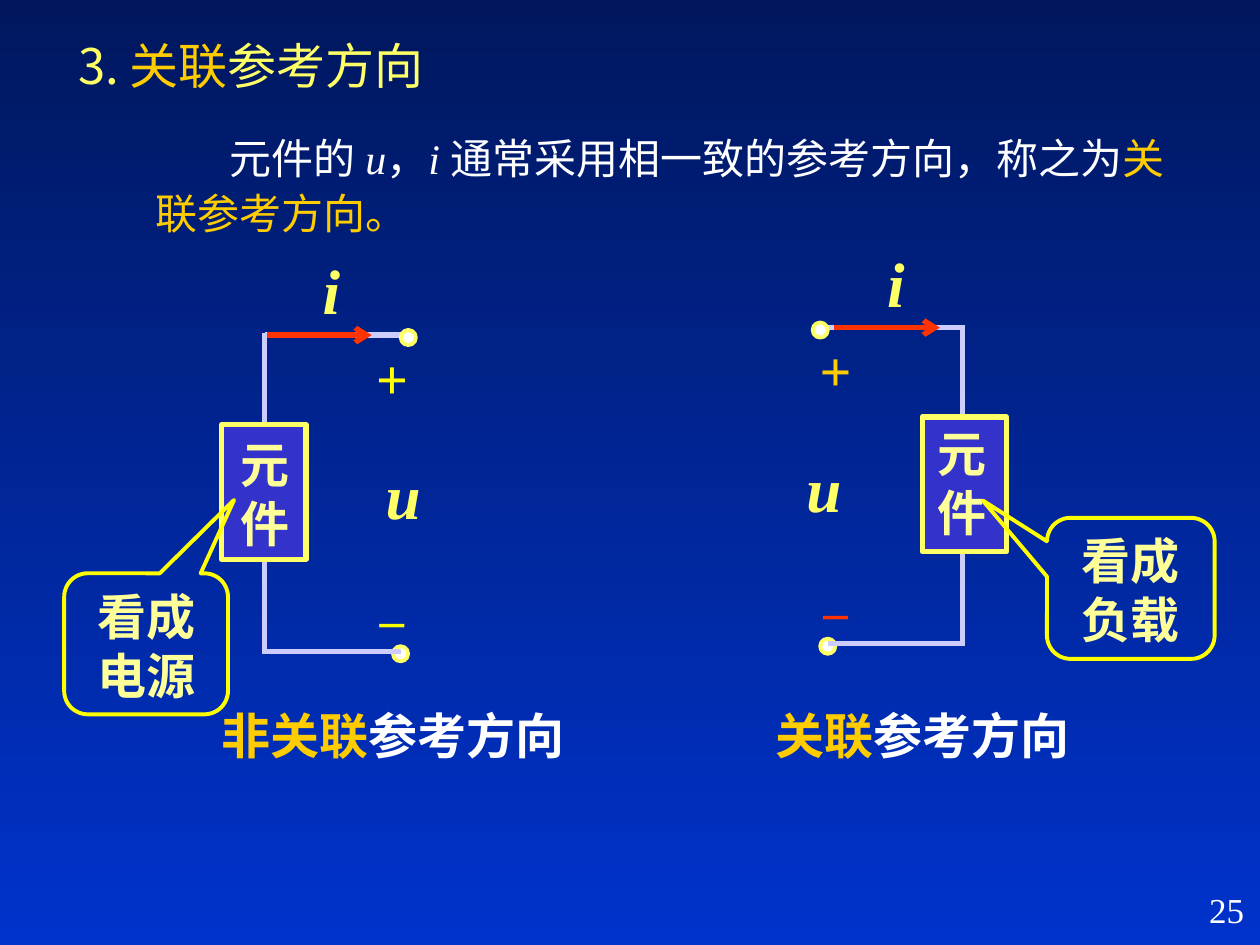
from dataclasses import dataclass

from lxml.etree import SubElement
from pptx import Presentation
from pptx.dml.color import RGBColor
from pptx.enum.shapes import MSO_CONNECTOR, MSO_SHAPE as Shape
from pptx.enum.text import MSO_ANCHOR as Anchor, MSO_AUTO_SIZE, PP_ALIGN as Align
from pptx.oxml.ns import qn
from pptx.util import Pt

LATIN, CJK = "Times New Roman", "Noto Sans CJK SC"
WHITE, GOLD, LEMON, CREAM = "FFFFFF", "FFCC00", "FFFF66", "FFFF99"
YELLOW, RED, WIRE, BLUE = "FFFF00", "FF3300", "CCCCFF", "3333CC"


@dataclass(frozen=True)
class Span:
    text: str
    color: str
    italic: bool = False


@dataclass(frozen=True)
class Circuit:
    """One element with its wires; vertical places follow from top."""
    top: float
    wire_x: float
    wire_end: float
    box_x: float
    name_x: float
    name_drop: float
    top_node: float
    bottom_node: float
    arrow: tuple[float, float]
    current_x: float
    voltage_x: float
    sign_x: float
    plus_color: str
    minus_color: str
    caption_x: float
    caption: tuple[Span, ...]


CIRCUITS = (
    Circuit(187.2, 550.1, 473, 527, 528.5, 51.1, 468.7, 473, (476.6, 537.1),
            511.9, 470.9, 477.5, GOLD, RED, 527.1,
            (Span("关联", GOLD), Span("参考方向", WHITE))),
    Circuit(191.5, 151.2, 229, 126.7, 130.3, 53.3, 233.3, 228.9, (152.6, 212.4),
            189.4, 230.4, 224, YELLOW, YELLOW, 224.7,
            (Span("非关联", GOLD), Span("参考方向", WHITE))),
)


def rgb(color: str) -> RGBColor:
    return RGBColor.from_string(color)


def place(shape, left: float, top: float, width: float, height: float) -> None:
    shape.left, shape.top, shape.width, shape.height = map(
        Pt, (left, top, width, height))


def write(shape, spans: tuple[Span, ...], size: float, bold: bool = False,
          align=Align.CENTER, anchor=Anchor.MIDDLE, latin: str = LATIN):
    """Fill the shape with one paragraph of formatted spans."""
    frame = shape.text_frame
    frame.word_wrap = True
    frame.auto_size = MSO_AUTO_SIZE.NONE
    frame.vertical_anchor = anchor
    para = frame.paragraphs[0]
    para.alignment = align
    para.space_before = Pt(0)
    for span in spans:
        run = para.add_run()
        run.text = span.text
        font = run.font
        font.name, font.size, font.bold = latin, Pt(size), bold
        font.italic = span.italic
        font.color.rgb = rgb(span.color)
        if ord(span.text[0]) > 0x2E80:
            SubElement(font._element, qn("a:ea"), typeface=CJK)
    return para


def add_text(page, bounds: tuple[float, ...], spans: tuple[Span, ...],
             size: float, **style) -> None:
    box = page.shapes.add_textbox(*map(Pt, bounds))
    write(box, spans, size, **style)


def add_label(page, center: float, top: float, width: float, height: float,
              spans: tuple[Span, ...], size: float) -> None:
    """Bold text centred on a given x."""
    add_text(page, (center - width / 2, top, width, height), spans, size, bold=True)


def add_shape(page, kind, bounds: tuple[float, ...], line: str,
              fill: str | None = None, weight: float = 2.25):
    shape = page.shapes.add_shape(kind, *map(Pt, bounds))
    shape.shadow.inherit = False
    if fill:
        shape.fill.solid()
        shape.fill.fore_color.rgb = rgb(fill)
    else:
        shape.fill.background()
    shape.line.color.rgb = rgb(line)
    shape.line.width = Pt(weight)
    return shape


def add_wire(page, x1: float, y1: float, x2: float, y2: float,
             color: str = WIRE, arrow: bool = False) -> None:
    wire = page.shapes.add_connector(
        MSO_CONNECTOR.STRAIGHT, *map(Pt, (x1, y1, x2, y2)))
    wire.line.color.rgb = rgb(color)
    wire.line.width = Pt(3)
    if arrow:
        SubElement(wire.line._get_or_add_ln(), qn("a:tailEnd"), type="arrow")
    SubElement(wire._element.spPr, qn("a:effectLst"))


def add_circuit(page, c: Circuit) -> None:
    bottom = c.top + 180.7
    add_wire(page, c.wire_x, c.top - 1.2, c.wire_x, bottom + 1.5)
    add_shape(page, Shape.RECTANGLE, (c.box_x, c.top + 51.1, 48.2, 77), LEMON, BLUE, 3)
    add_wire(page, c.wire_x, c.top, c.wire_end, c.top)
    for x, y in ((c.bottom_node, bottom), (c.top_node, c.top)):
        add_shape(page, Shape.OVAL, (x - 4.3, y - 2.9, 8.6, 8.6), LEMON, WHITE)
    start, end = c.arrow
    add_wire(page, start, c.top, end, c.top, RED, arrow=True)
    add_wire(page, c.wire_x, bottom, c.wire_end, bottom)

    add_label(page, c.sign_x, c.top + 1, 48, 46, (Span("+", c.plus_color),), 32)
    add_label(page, c.sign_x, c.top + 141.1, 66, 41, (Span("–", c.minus_color),), 28)
    add_label(page, c.current_x, c.top - 51.1, 72, 50.4, (Span("i", LEMON, True),), 36)
    add_label(page, c.voltage_x, c.top + 66, 72, 50.4, (Span("u", LEMON, True),), 36)
    add_label(page, c.caption_x, 399.2, 236, 41, c.caption, 28)
    add_text(page, (c.name_x, c.top + c.name_drop, 46.8, 75), (Span("元件", CREAM),),
             28, bold=True, align=Align.LEFT, anchor=Anchor.TOP)


def add_callout(page, bounds: tuple[float, ...], tip: tuple[float, float],
                text: str) -> None:
    callout = add_shape(page, Shape.ROUNDED_RECTANGULAR_CALLOUT, bounds, YELLOW)
    for index, value in enumerate((*tip, 0.167)):
        callout.adjustments[index] = value
    write(callout, (Span(text, CREAM),), 28, bold=True, anchor=Anchor.TOP)


def add_background(page) -> None:
    fill = page.background.fill
    fill.gradient()
    fill.gradient_angle = 270
    for stop, color in zip(fill.gradient_stops, ("00175E", "0033CC")):
        stop.color.rgb = rgb(color)


def add_heading(page) -> None:
    title, body = page.shapes.title, page.placeholders[1]
    place(title, 37.4, 16.6, 284.4, 41)
    write(title, (Span("3. ", LEMON), Span("关联", GOLD), Span("参考方向", LEMON)),
          28, align=Align.LEFT, latin=CJK)

    place(body, 36.7, 69.1, 638.6, 70.6)
    para = write(body, (
        Span("元件的 ", WHITE), Span("u", WHITE, True), Span("，", WHITE),
        Span("i ", WHITE, True), Span("通常采用相一致的参考方向，称之为", WHITE),
        Span("关联参考方向。", GOLD)), 24, align=Align.LEFT)
    para.line_spacing = 1.1
    properties = para._p.get_or_add_pPr()
    properties.set("marL", str(Pt(45)))
    properties.set("indent", str(Pt(42.5)))
    SubElement(properties, qn("a:buNone"))


def main() -> None:
    deck = Presentation()
    deck.slide_width, deck.slide_height = Pt(720), Pt(540)
    page = deck.slides.add_slide(deck.slide_layouts[1])
    add_background(page)
    add_heading(page)
    for circuit in CIRCUITS:
        add_circuit(page, circuit)
    add_callout(page, (36.7, 327.6, 93.6, 80.6), (0.537, -1.02), "看成电源")
    add_callout(page, (598.3, 295.9, 95.8, 80.6), (-0.883, -0.623), "看成负载")
    add_text(page, (568, 504, 150, 36), (Span("25", WHITE),), 20,
             align=Align.RIGHT, anchor=Anchor.TOP)
    deck.save("out.pptx")


if __name__ == "__main__":
    main()
